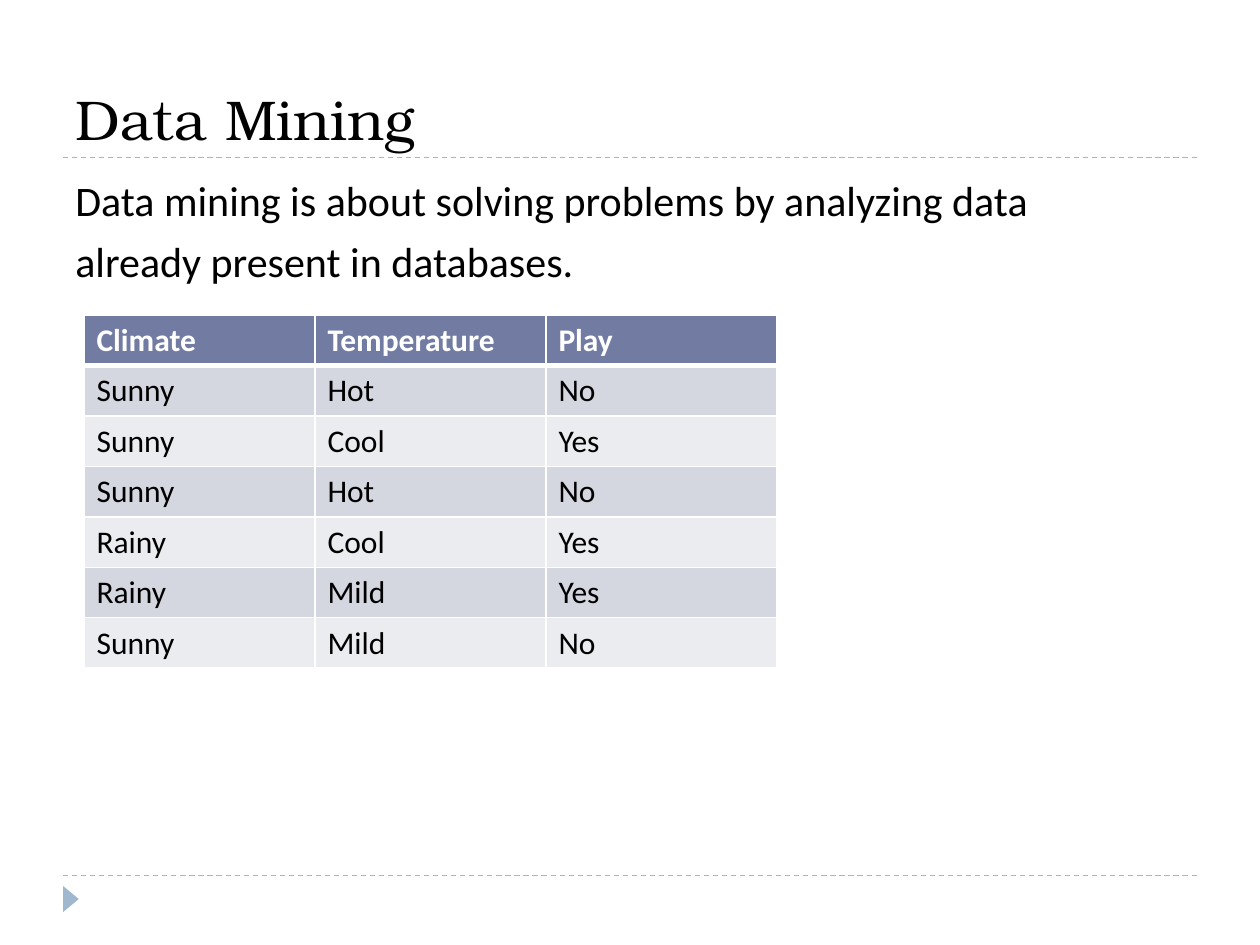
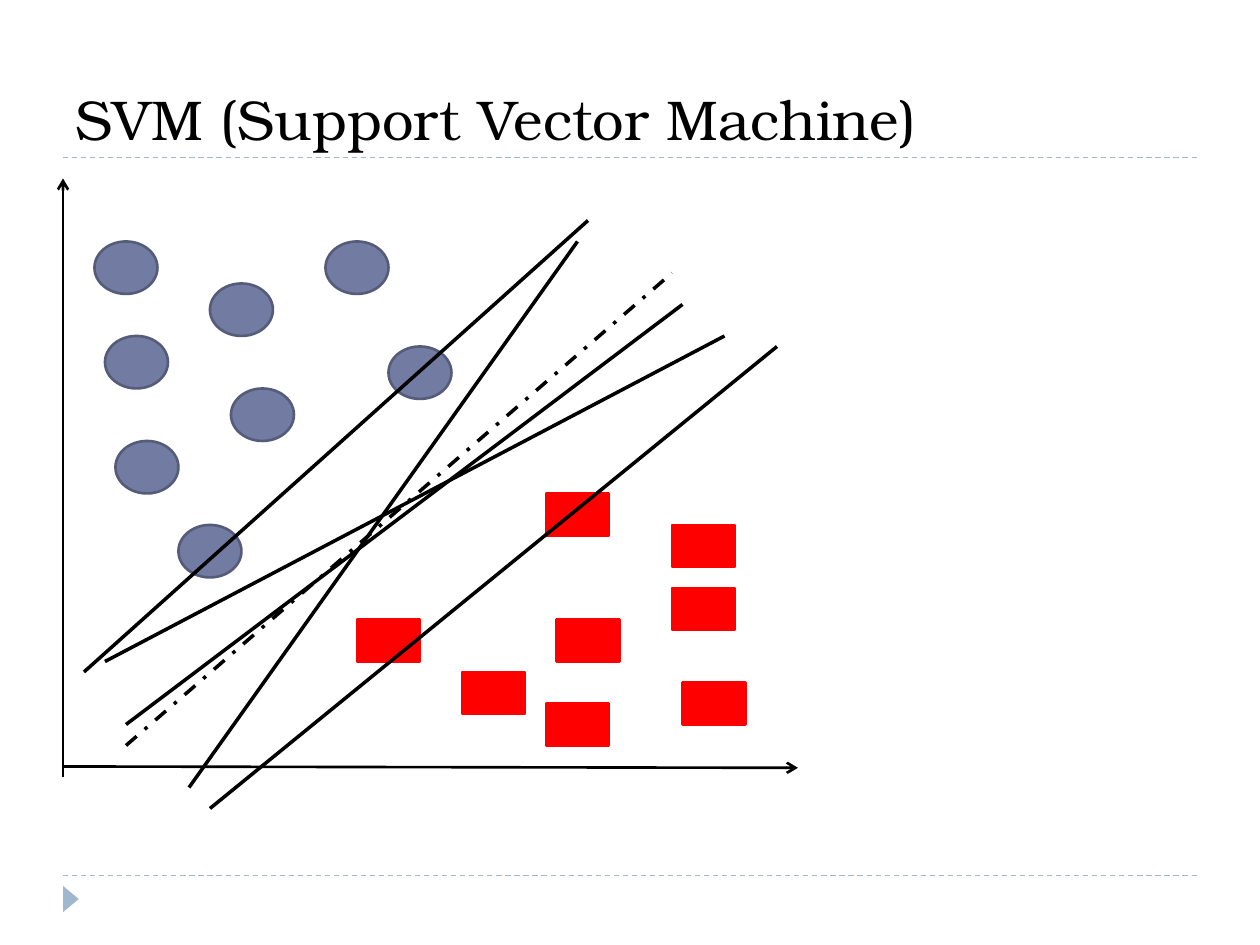
from dataclasses import dataclass
from typing import NamedTuple

from pptx import Presentation
from pptx.dml.color import RGBColor
from pptx.enum.dml import MSO_LINE_DASH_STYLE as Dash
from pptx.enum.shapes import MSO_CONNECTOR as Connector, MSO_SHAPE as Shape
from pptx.enum.text import MSO_ANCHOR as Anchor
from pptx.oxml.ns import qn
from pptx.presentation import Presentation as Deck
from pptx.slide import Slide
from pptx.table import _Cell as Cell
from pptx.text.text import _Paragraph as Paragraph
from pptx.util import Emu, Pt
from lxml.etree import SubElement

EMU_PER_PX = 9525


@dataclass(frozen=True)
class Theme:
    title_font: str = "TeX Gyre Bonum"
    body_font: str = "Calibri"
    title_size: int = 32
    body_size: int = 24
    table_size: int = 18
    paragraph_gap: int = 6
    text: str = "000000"
    white: str = "FFFFFF"
    accent: str = "727CA3"
    accent_edge: str = "545C79"
    rule: str = "9FB8CD"
    band_dark: str = "D5D7E0"
    band_light: str = "EBECF0"
    red: str = "FF0000"


THEME = Theme()


class Box(NamedTuple):
    left: int
    top: int
    width: int
    height: int


class Stroke(NamedTuple):
    color: str
    width: float
    dash: Dash | None = None
    arrow: bool = False


class Segment(NamedTuple):
    x1: int
    y1: int
    x2: int
    y2: int
    stroke: Stroke


class Marker(NamedTuple):
    kind: Shape
    width: int
    height: int
    fill: str
    edge: str
    corners: list[tuple[int, int]]


PAGE_WIDTH, PAGE_HEIGHT = 960, 720
MARGIN = 48
CONTENT_WIDTH = PAGE_WIDTH - 2 * MARGIN
TITLE_BOX = Box(MARGIN, 16, CONTENT_WIDTH, 104)
BODY_BOX = Box(MARGIN, 128, CONTENT_WIDTH, 518)
TABLE_BOX = Box(64, 240, 528, 269)
FOOTER_MARK = Box(44, 679, 20, 12)
RULE_HEIGHTS = (667, 120)
BODY_INDENT = 29

RULE = Stroke(THEME.rule, 0.75, Dash.DASH)
AXIS = Stroke(THEME.text, 1.5, arrow=True)
BOUNDARY = Stroke(THEME.text, 2)
BEST_BOUNDARY = Stroke(THEME.text, 2, Dash.DASH_DOT)

BODY_LINES = (
    "Data mining is about solving problems by analyzing data",
    "already present in databases.",
)

WEATHER = (
    ("Climate", "Temperature", "Play"),
    ("Sunny", "Hot", "No"),
    ("Sunny", "Cool", "Yes"),
    ("Sunny", "Hot", "No"),
    ("Rainy", "Cool", "Yes"),
    ("Rainy", "Mild", "Yes"),
    ("Sunny", "Mild", "No"),
)

AXES = (
    Segment(48, 592, 48, 136, AXIS),
    Segment(48, 584, 608, 585, AXIS),
)

CLASSES = (
    Marker(Shape.OVAL, 48, 40, THEME.accent, THEME.accent_edge, [
        (72, 184), (80, 256), (160, 216), (88, 336),
        (176, 296), (248, 184), (296, 264), (136, 400),
    ]),
    Marker(Shape.RECTANGLE, 48, 32, THEME.red, THEME.red, [
        (520, 520), (272, 472), (416, 376), (416, 536),
        (512, 448), (424, 472), (352, 512), (512, 400),
    ]),
)

BOUNDARIES = (
    Segment(96, 552, 520, 232, BOUNDARY),
    Segment(144, 600, 440, 184, BOUNDARY),
    Segment(80, 504, 552, 256, BOUNDARY),
    Segment(64, 512, 448, 168, BOUNDARY),
    Segment(160, 616, 592, 264, BOUNDARY),
    Segment(96, 568, 512, 208, BEST_BOUNDARY),
)


def px(length: int) -> Emu:
    return Emu(length * EMU_PER_PX)


def place(box: Box) -> tuple[Emu, ...]:
    return tuple(px(length) for length in box)


def rgb(color: str) -> RGBColor:
    return RGBColor.from_string(color)


def style(para: Paragraph, font: str, size: int, color: str, bold: bool = False) -> None:
    for span in para.runs:
        span.font.name = font
        span.font.size = Pt(size)
        span.font.bold = bold
        span.font.color.rgb = rgb(color)


def draw_segment(page: Slide, segment: Segment) -> None:
    ends = (px(length) for length in segment[:4])
    connector = page.shapes.add_connector(Connector.STRAIGHT, *ends)
    stroke = segment.stroke
    line = connector.line
    line.color.rgb = rgb(stroke.color)
    line.width = Pt(stroke.width)
    if stroke.dash:
        line.dash_style = stroke.dash
    properties = connector._element.spPr
    if stroke.arrow:
        SubElement(properties.find(qn("a:ln")), qn("a:tailEnd"), type="arrow")
    SubElement(properties, qn("a:effectLst"))


def draw_shape(page: Slide, kind: Shape, box: Box, fill: str, edge: str | None = None,
               rotation: int = 0) -> None:
    shape = page.shapes.add_shape(kind, *place(box))
    shape.shadow.inherit = False
    shape.rotation = rotation
    shape.fill.solid()
    shape.fill.fore_color.rgb = rgb(fill)
    if edge:
        shape.line.color.rgb = rgb(edge)
        shape.line.width = Pt(1.5)
    else:
        shape.line.fill.background()


def draw_markers(page: Slide, marker: Marker) -> None:
    for left, top in marker.corners:
        box = Box(left, top, marker.width, marker.height)
        draw_shape(page, marker.kind, box, marker.fill, marker.edge)


def add_page(deck: Deck, title: str) -> Slide:
    page = deck.slides.add_slide(deck.slide_layouts[6])
    for height in RULE_HEIGHTS:
        draw_segment(page, Segment(MARGIN, height, PAGE_WIDTH - MARGIN, height, RULE))
    draw_shape(page, Shape.ISOSCELES_TRIANGLE, FOOTER_MARK, THEME.rule, rotation=90)
    frame = page.shapes.add_textbox(*place(TITLE_BOX)).text_frame
    frame.word_wrap = True
    frame.vertical_anchor = Anchor.BOTTOM
    frame.text = title
    style(frame.paragraphs[0], THEME.title_font, THEME.title_size, THEME.text)
    return page


def draw_body(page: Slide, lines: tuple[str, ...]) -> None:
    frame = page.shapes.add_textbox(*place(BODY_BOX)).text_frame
    frame.word_wrap = True
    frame.text = "\n".join(lines)
    for para in frame.paragraphs:
        para.space_before = Pt(THEME.paragraph_gap)
        indent = para._p.get_or_add_pPr()
        indent.set("marL", str(px(BODY_INDENT)))
        indent.set("indent", str(px(-BODY_INDENT)))
        style(para, THEME.body_font, THEME.body_size, THEME.text)


def set_borders(cell: Cell, top: int, bottom: int) -> None:
    properties = cell._tc.get_or_add_tcPr()
    for side, width in (("L", 1), ("R", 1), ("T", top), ("B", bottom)):
        border = SubElement(properties, qn(f"a:ln{side}"), w=str(Pt(width)))
        fill = SubElement(border, qn("a:solidFill"))
        SubElement(fill, qn("a:srgbClr"), val=THEME.white)


def draw_table(page: Slide, rows: tuple[tuple[str, ...], ...]) -> None:
    table = page.shapes.add_table(len(rows), len(rows[0]), *place(TABLE_BOX)).table
    for row, values in enumerate(rows):
        header = row == 0
        band = THEME.band_dark if row % 2 else THEME.band_light
        for column, value in enumerate(values):
            cell = table.cell(row, column)
            set_borders(cell, top=3 if row == 1 else 1, bottom=3 if header else 1)
            cell.fill.solid()
            cell.fill.fore_color.rgb = rgb(THEME.accent if header else band)
            cell.text_frame.text = value
            style(cell.text_frame.paragraphs[0], THEME.body_font, THEME.table_size,
                  THEME.white if header else THEME.text, header)


def build_data_mining(deck: Deck) -> None:
    page = add_page(deck, "Data Mining")
    draw_body(page, BODY_LINES)
    draw_table(page, WEATHER)


def build_svm(deck: Deck) -> None:
    page = add_page(deck, "SVM (Support Vector Machine)")
    for axis in AXES:
        draw_segment(page, axis)
    for marker in CLASSES:
        draw_markers(page, marker)
    for boundary in BOUNDARIES:
        draw_segment(page, boundary)


def main() -> None:
    deck = Presentation()
    deck.slide_width = px(PAGE_WIDTH)
    deck.slide_height = px(PAGE_HEIGHT)
    build_data_mining(deck)
    build_svm(deck)
    deck.save("out.pptx")


if __name__ == "__main__":
    main()
